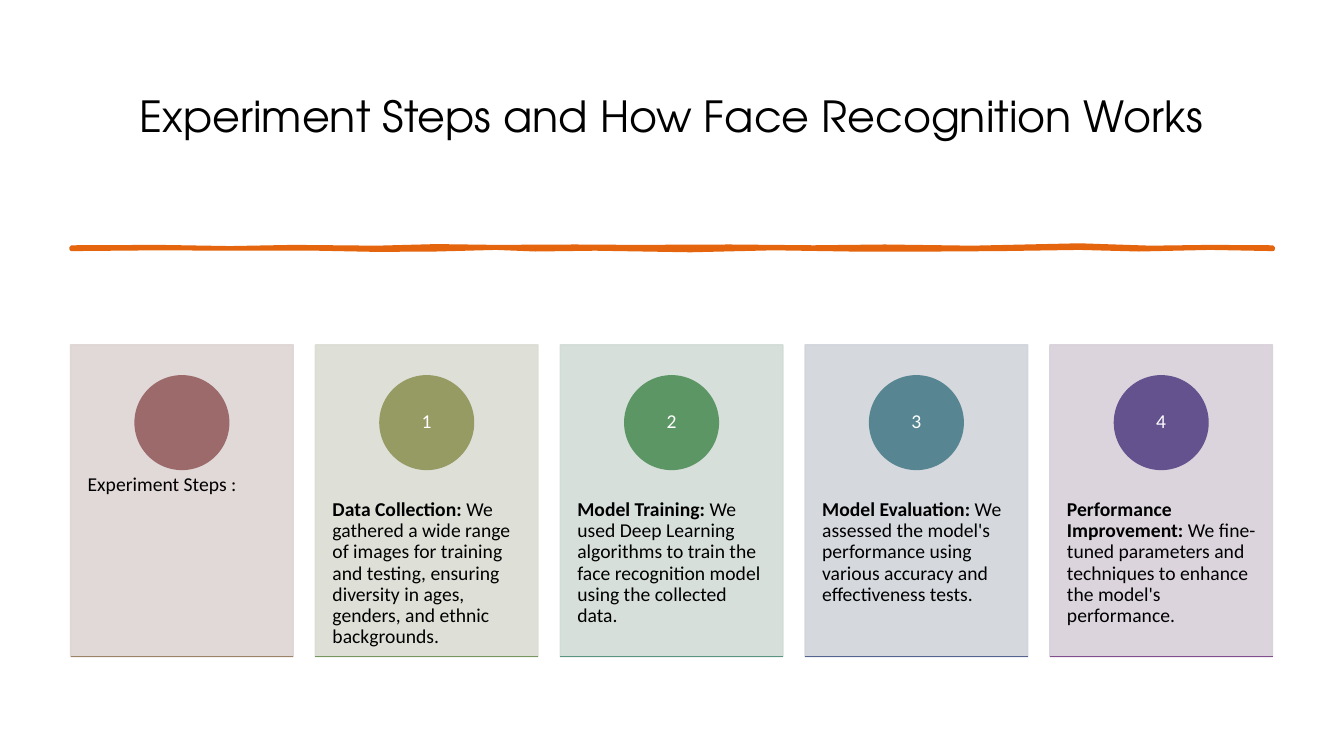
from dataclasses import dataclass

from lxml import etree
from pptx import Presentation
from pptx.dml.color import RGBColor
from pptx.enum.shapes import MSO_CONNECTOR, MSO_SHAPE
from pptx.enum.text import MSO_ANCHOR, PP_ALIGN
from pptx.oxml.ns import qn
from pptx.util import Cm, Pt

RECTANGLE, OVAL = MSO_SHAPE.RECTANGLE, MSO_SHAPE.OVAL
STRAIGHT = MSO_CONNECTOR.STRAIGHT
TOP, MIDDLE = MSO_ANCHOR.TOP, MSO_ANCHOR.MIDDLE
LEFT, CENTER = PP_ALIGN.LEFT, PP_ALIGN.CENTER


@dataclass(frozen=True)
class Theme:
    title_font: str = "TeX Gyre Adventor"
    body_font: str = "Calibri"
    title_size: float = 30.6
    body_size: float = 14
    dark: str = "000000"
    light: str = "FFFFFF"
    divider: str = "E4650E"
    divider_width: float = 2.75
    outline_width: float = 1
    card_opacity: int = 90
    line_spacing: float = 0.9


@dataclass(frozen=True)
class Step:
    number: str
    heading: str
    detail: str
    card: str
    circle: str
    rule: str


@dataclass(frozen=True)
class Area:
    left: float
    top: float
    width: float
    height: float

    def lengths(self) -> tuple:
        return Cm(self.left), Cm(self.top), Cm(self.width), Cm(self.height)


@dataclass(frozen=True)
class Span:
    text: str
    bold: bool = False


THEME = Theme()
STEPS = [
    Step("", "", "Experiment Steps :", "DED4D4", "9C6A6A", "9B8366"),
    Step("1", "Data Collection:",
         " We gathered a wide range of images for training and testing, "
         "ensuring diversity in ages, genders, and ethnic backgrounds.",
         "DBDDD3", "969A63", "769860"),
    Step("2", "Model Training:",
         " We used Deep Learning algorithms to train the face recognition "
         "model using the collected data.",
         "D2DCD6", "5D9665", "5A9482"),
    Step("3", "Model Evaluation:",
         " We assessed the model's performance using various accuracy and "
         "effectiveness tests.",
         "D1D5DB", "578592", "546390"),
    Step("4", "Performance Improvement:",
         " We fine-tuned parameters and techniques to enhance the model's "
         "performance.",
         "D8D0DA", "64528E", "824F8C"),
]

# Card grid, in centimetres
CARD_LEFT, CARD_TOP, CARD_WIDTH, CARD_HEIGHT = 1.78, 8.69, 5.61, 7.86
CARD_PITCH = 6.17
CIRCLE_TOP, CIRCLE_SIZE = 9.47, 2.36
TEXT_TOP, TEXT_HEIGHT = 11.68, 4.72

# Upper and lower edges of the hand-drawn divider, left to right
UPPER_EDGE = [(1.8, 6.23), (4, 6.22), (5.8, 6.25), (7.4, 6.22), (9.5, 6.24),
              (11, 6.2), (12.5, 6.22), (14.5, 6.21), (16, 6.22), (18.4, 6.21),
              (20.5, 6.23), (22.3, 6.21), (24.5, 6.24), (27.2, 6.18),
              (29, 6.24), (30.5, 6.22), (32.08, 6.23)]
LOWER_EDGE = [(1.8, 6.28), (4, 6.26), (5.8, 6.27), (8, 6.27), (9.5, 6.3),
              (11, 6.29), (12.5, 6.25), (13.5, 6.29), (15, 6.27), (17.4, 6.31),
              (19.5, 6.26), (21.4, 6.29), (23.7, 6.29), (25.2, 6.28),
              (27.2, 6.25), (28.7, 6.29), (30.5, 6.25), (32.08, 6.28)]


def paint(shape, color: str, width: float, opacity: int = 100) -> None:
    """Give a shape one colour for both fill and outline."""
    shape.shadow.inherit = False
    shape.line.width = Pt(width)
    for fill in (shape.fill, shape.line.fill):
        fill.solid()
        fill.fore_color.rgb = RGBColor.from_string(color)
    if opacity < 100:
        for tint in shape.element.spPr.iter(qn("a:srgbClr")):
            etree.SubElement(tint, qn("a:alpha"), val=str(opacity * 1000))


def write(box, spans: list[Span], font: dict, color: str, frame: dict,
          align: int) -> None:
    """Write one paragraph of spans into a box."""
    text_frame = box.text_frame
    for name, value in frame.items():
        setattr(text_frame, name, value)
    para = text_frame.paragraphs[0]
    para.alignment = align
    para.line_spacing = THEME.line_spacing
    for span in spans:
        run = para.add_run()
        run.text = span.text
        for name, value in {**font, "bold": span.bold}.items():
            setattr(run.font, name, value)
        run.font.color.rgb = RGBColor.from_string(color)


def frame_format(anchor: int, side: float, top: float, bottom: float) -> dict:
    return {"word_wrap": True, "vertical_anchor": anchor,
            "margin_left": Cm(side), "margin_right": Cm(side),
            "margin_top": Cm(top), "margin_bottom": Cm(bottom)}


def draw_title(page, text: str) -> None:
    box = page.shapes.add_textbox(*Area(1.75, 1.75, 30.33, 3.66).lengths())
    font = {"name": THEME.title_font, "size": Pt(THEME.title_size)}
    write(box, [Span(text)], font, THEME.dark,
          frame_format(MIDDLE, 0.25, 0.13, 1.3), CENTER)


def draw_divider(page) -> None:
    outline = [(Cm(x), Cm(y)) for x, y in UPPER_EDGE + LOWER_EDGE[::-1]]
    builder = page.shapes.build_freeform(*outline[0])
    builder.add_line_segments(outline[1:], close=True)
    paint(builder.convert_to_shape(), THEME.divider, THEME.divider_width)


def draw_step(page, step: Step, left: float) -> None:
    font = {"name": THEME.body_font, "size": Pt(THEME.body_size)}

    # Card
    area = Area(left, CARD_TOP, CARD_WIDTH, CARD_HEIGHT)
    card = page.shapes.add_shape(RECTANGLE, *area.lengths())
    paint(card, step.card, THEME.outline_width, THEME.card_opacity)

    # Description
    area = Area(left, TEXT_TOP, CARD_WIDTH, TEXT_HEIGHT)
    box = page.shapes.add_textbox(*area.lengths())
    spans = [Span(step.heading, True)] if step.heading else []
    write(box, spans + [Span(step.detail)], font, THEME.dark,
          frame_format(TOP, 0.43, 0.91, 0.91), LEFT)

    # Numbered circle
    area = Area(left + (CARD_WIDTH - CIRCLE_SIZE) / 2, CIRCLE_TOP,
                CIRCLE_SIZE, CIRCLE_SIZE)
    circle = page.shapes.add_shape(OVAL, *area.lengths())
    paint(circle, step.circle, THEME.outline_width)
    if step.number:
        write(circle, [Span(step.number)], font, THEME.light,
              frame_format(MIDDLE, 0.18, 0.03, 0.03), CENTER)

    # Rule along the bottom edge
    bottom = Cm(CARD_TOP + CARD_HEIGHT)
    rule = page.shapes.add_connector(STRAIGHT, Cm(left), bottom,
                                     Cm(left + CARD_WIDTH), bottom)
    rule.line.width = Pt(THEME.outline_width)
    rule.line.color.rgb = RGBColor.from_string(step.rule)
    etree.SubElement(rule.element.spPr, qn("a:effectLst"))


def main() -> None:
    deck = Presentation()
    deck.slide_width, deck.slide_height = Cm(33.87), Cm(19.05)
    page = deck.slides.add_slide(deck.slide_layouts[6])
    draw_title(page, "Experiment Steps and How Face Recognition Works")
    draw_divider(page)
    for index, step in enumerate(STEPS):
        draw_step(page, step, CARD_LEFT + index * CARD_PITCH)
    deck.save("out.pptx")


if __name__ == "__main__":
    main()
